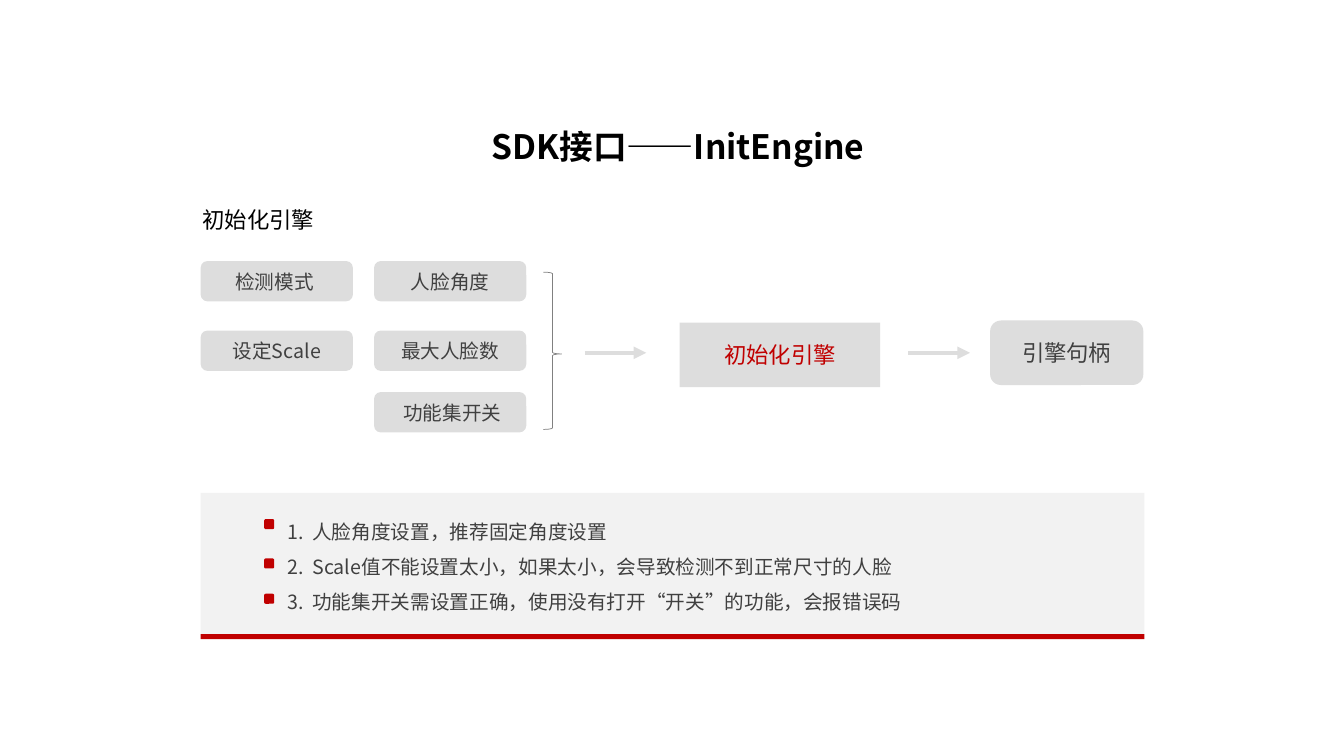
from lxml.etree import SubElement
from pptx import Presentation
from pptx.dml.color import RGBColor
from pptx.enum.shapes import MSO_CONNECTOR, MSO_SHAPE as Preset
from pptx.enum.text import MSO_ANCHOR as Anchor, PP_ALIGN as Align
from pptx.oxml.ns import qn
from pptx.util import Inches, Pt

FONT = "Noto Sans CJK SC"
BLACK, DARK, RED = "000000", "404040", "C00000"
GREY, PALE, BRACE_GREY = "DDDDDD", "F2F2F2", "808080"


def color(value):
    return RGBColor.from_string(value)


def style_para(para, size, ink, bold=False, align=Align.LEFT):
    para.alignment = align
    for span in para.runs:
        span.font.name = FONT
        span.font.size = Pt(size)
        span.font.bold = bold
        span.font.color.rgb = color(ink)
        SubElement(span.font._element, qn("a:ea")).set("typeface", FONT)


def add_block(page, preset, box, fill, text="", size=14, ink=DARK):
    block = page.shapes.add_shape(preset, *map(Inches, box))
    block.shadow.inherit = False
    block.line.fill.background()
    block.fill.solid()
    block.fill.fore_color.rgb = color(fill)
    if text:
        block.text_frame.text = text
        block.text_frame.vertical_anchor = Anchor.MIDDLE
        style_para(block.text_frame.paragraphs[0], size, ink, align=Align.CENTER)
    return block


def add_text(page, box, lines, size, ink, wrap=True, **look):
    frame = page.shapes.add_textbox(*map(Inches, box)).text_frame
    frame.word_wrap = wrap
    frame.text = "\n".join(lines)
    for para in frame.paragraphs:
        style_para(para, size, ink, **look)
    return frame


def add_arrow(page, left, top, length):
    arrow = page.shapes.add_connector(
        MSO_CONNECTOR.STRAIGHT,
        Inches(left), Inches(top), Inches(left + length), Inches(top))
    arrow.line.color.rgb = color(GREY)
    arrow.line.width = Pt(3)
    SubElement(arrow.line._get_or_add_ln(), qn("a:tailEnd")).set("type", "triangle")
    SubElement(arrow._element.spPr, qn("a:effectLst"))


def add_headings(page, left, top, width):
    title = add_text(page, (left, top, width, 0.52), ["SDK接口——InitEngine"],
                     24, BLACK, bold=True, align=Align.CENTER)
    title.paragraphs[0].line_spacing = 0.9
    add_text(page, (left + 1.22, top + 0.76, 1.32, 0.37), ["初始化引擎"],
             16, BLACK, wrap=False)


def add_parameters(page, left, top):
    column_step = 1.72
    rows = [(0, ["检测模式 ", "人脸角度"]),
            (0.69, ["设定Scale", "最大人脸数"]),
            (1.3, ["", " 功能集开关"])]
    for drop, labels in rows:
        for column, label in enumerate(labels):
            if label:
                box = (left + column * column_step, top + drop, 1.51, 0.4)
                add_block(page, Preset.ROUNDED_RECTANGLE, box, GREY, label)


def add_flow(page, left, top):
    # Brace that gathers the parameters
    brace = page.shapes.add_shape(
        Preset.LEFT_BRACE, *map(Inches, (left, top, 0.18, 1.56)))
    brace.rotation = 180
    brace.adjustments[0], brace.adjustments[1] = 0.083, 0.48
    brace.shadow.inherit = False
    brace.fill.background()
    brace.line.color.rgb = color(BRACE_GREY)
    brace.line.width = Pt(0.5)

    # Call and its result
    for offset in (0.41, 3.62):
        add_arrow(page, left + offset, top + 0.8, 0.61)
    add_block(page, Preset.RECTANGLE, (left + 1.35, top + 0.5, 1.99, 0.64),
              GREY, "初始化引擎", 16, RED)
    add_block(page, Preset.ROUNDED_RECTANGLE, (left + 4.43, top + 0.48, 1.52, 0.64),
              GREY, "引擎句柄", 16)


def add_notes_panel(page, left, top, width, height):
    add_block(page, Preset.RECTANGLE, (left, top, width, height), PALE)
    add_block(page, Preset.RECTANGLE, (left, top + height, width, 0.05), RED)
    notes = ["人脸角度设置，推荐固定角度设置",
             "Scale值不能设置太小，如果太小，会导致检测不到正常尺寸的人脸",
             "功能集开关需设置正确，使用没有打开“开关”的功能，会报错误码"]
    frame = add_text(page, (left + 0.26, top + 0.1, 7.36, 1.16), notes, 14, DARK)
    for para, drop in zip(frame.paragraphs, (0.26, 0.65, 1.0)):
        para.level = 1
        para.line_spacing = 1.5
        props = para._p.get_or_add_pPr()
        props.set("marL", str(Inches(0.75)))
        props.set("indent", str(Inches(-0.25)))
        SubElement(props, qn("a:buFont")).set("typeface", FONT)
        SubElement(props, qn("a:buAutoNum")).set("type", "arabicPeriod")
        add_block(page, Preset.ROUNDED_RECTANGLE,
                  (left + 0.63, top + drop, 0.1, 0.1), RED)


def main():
    deck = Presentation()
    deck.slide_width, deck.slide_height = Inches(13.33), Inches(7.5)
    page = deck.slides.add_slide(deck.slide_layouts[6])
    add_headings(page, 0.69, 1.24, 12.07)
    add_parameters(page, 1.99, 2.59)
    add_flow(page, 5.39, 2.7)
    add_notes_panel(page, 1.99, 4.89, 9.36, 1.4)
    deck.save("out.pptx")


if __name__ == "__main__":
    main()
